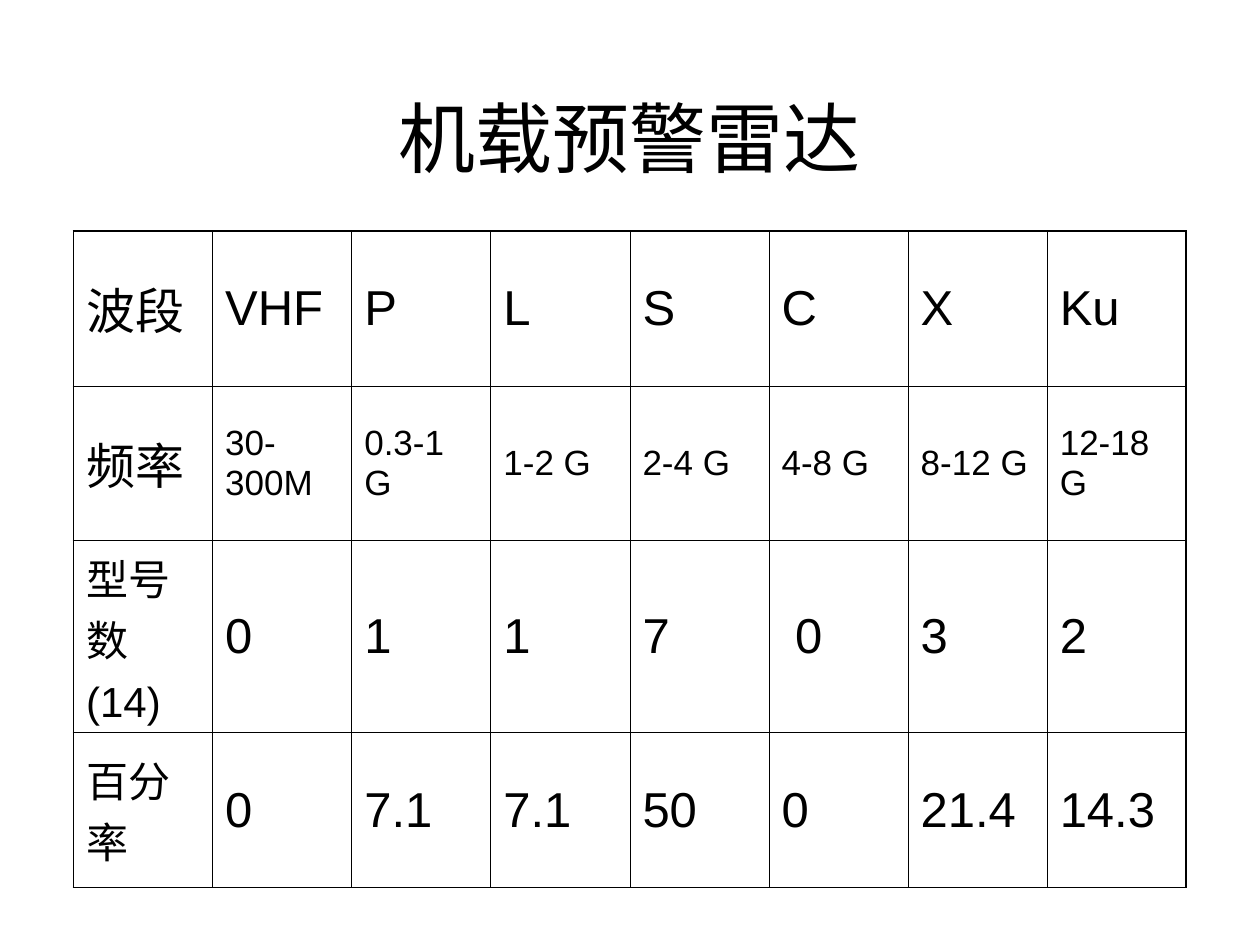
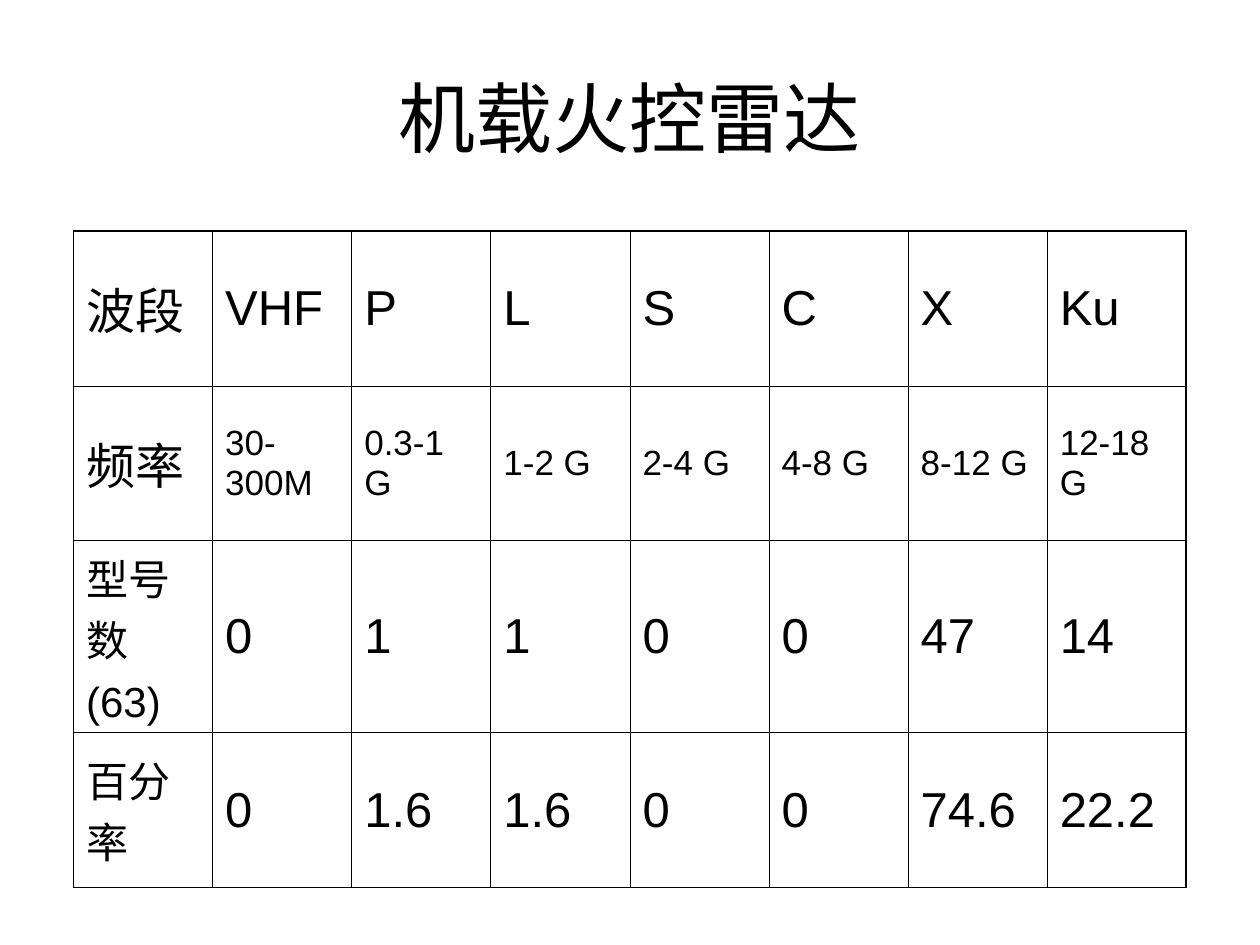
from lxml.etree import SubElement
from pptx import Presentation
from pptx.dml.color import RGBColor
from pptx.enum.text import MSO_ANCHOR, MSO_AUTO_SIZE, PP_ALIGN
from pptx.oxml.ns import qn
from pptx.util import Pt

COLORS = {"text": "000000", "border": "000000"}
FONT = "Arial"
TITLE_ONLY = 5
TITLE_SIZE, LARGE, MEDIUM, SMALL = 44, 28, 24, 20
OUTER_BORDER, INNER_BORDER = 1.08, 0.45
CELL_MARGIN = 7.2
TABLE_BOX = (42, 132, 636, 354)

BANDS = ["波段", "VHF", "P", "L", "S", "C", "X", "Ku"]
FREQUENCIES = ["频率", "30-300M", "0.3-1 G", "1-2 G", "2-4 G", "4-8 G", "8-12 G", "12-18 G"]

RADARS = [
    {
        "title": "机载预警雷达",
        "title_box": (42, 48, 636, 60),
        "total": 14,
        "counts": ["0", "1", "1", "7", "0", "3", "2"],
        "percentages": ["0", "7.1", "7.1", "50", "0", "21.4", "14.3"],
        "indents": {(2, 5): 7.8},
    },
    {
        "title": "机载火控雷达",
        "title_box": (36, 21.6, 648, 90),
        "total": 63,
        "counts": ["0", "1", "1", "0", "0", "47", "14"],
        "percentages": ["0", "1.6", "1.6", "0", "0", "74.6", "22.2"],
        "indents": {},
    },
]


def format_font(paragraph, size):
    font = paragraph.font
    font.name = FONT
    font.size = Pt(size)
    font.bold = False
    font.color.rgb = RGBColor.from_string(COLORS["text"])


def add_title(slide, text, box):
    title = slide.shapes.title
    title.left, title.top, title.width, title.height = map(Pt, box)
    frame = title.text_frame
    frame.text = text
    frame.word_wrap = True
    frame.auto_size = MSO_AUTO_SIZE.NONE
    frame.vertical_anchor = MSO_ANCHOR.MIDDLE
    paragraph = frame.paragraphs[0]
    paragraph.alignment = PP_ALIGN.CENTER
    format_font(paragraph, TITLE_SIZE)


def set_borders(cell, outer_sides):
    """Draw all four sides, with the heavier line on the table's outer sides."""
    properties = cell._tc.get_or_add_tcPr()
    for side in "LRTB":
        width = OUTER_BORDER if side in outer_sides else INNER_BORDER
        line = SubElement(properties, qn(f"a:ln{side}"), w=str(Pt(width)))
        fill = SubElement(line, qn("a:solidFill"))
        SubElement(fill, qn("a:srgbClr"), val=COLORS["border"])


def cell_size(row, column):
    if column == 0:
        return LARGE if row < 2 else MEDIUM
    return SMALL if row == 1 else LARGE


def fill_cell(cell, text, size, indent):
    cell.text = text
    cell.vertical_anchor = MSO_ANCHOR.MIDDLE
    cell.margin_left = Pt(CELL_MARGIN + indent)
    cell.fill.background()
    for index, paragraph in enumerate(cell.text_frame.paragraphs):
        paragraph.space_before = Pt(6 if index else 0)
        format_font(paragraph, size)


def add_band_table(slide, rows, indents, box):
    row_count, column_count = len(rows), len(rows[0])
    left, top, width, height = box
    table = slide.shapes.add_table(row_count, column_count, *map(Pt, box)).table
    table.first_row = table.horz_banding = False
    for column in table.columns:
        column.width = Pt(width / column_count)
    for row in table.rows:
        row.height = Pt(height / row_count)

    for row, texts in enumerate(rows):
        for column, text in enumerate(texts):
            edges = {
                "L": column == 0,
                "R": column == column_count - 1,
                "T": row == 0,
                "B": row == row_count - 1,
            }
            cell = table.cell(row, column)
            set_borders(cell, [side for side, is_outer in edges.items() if is_outer])
            fill_cell(cell, text, cell_size(row, column), indents.get((row, column), 0))


def add_radar_slide(presentation, radar):
    slide = presentation.slides.add_slide(presentation.slide_layouts[TITLE_ONLY])
    add_title(slide, radar["title"], radar["title_box"])
    rows = [
        BANDS,
        FREQUENCIES,
        [f"型号数\n({radar['total']})", *radar["counts"]],
        ["百分率", *radar["percentages"]],
    ]
    add_band_table(slide, rows, radar["indents"], TABLE_BOX)


def main():
    presentation = Presentation()
    presentation.slide_width, presentation.slide_height = Pt(720), Pt(540)
    for radar in RADARS:
        add_radar_slide(presentation, radar)
    presentation.save("out.pptx")


if __name__ == "__main__":
    main()
